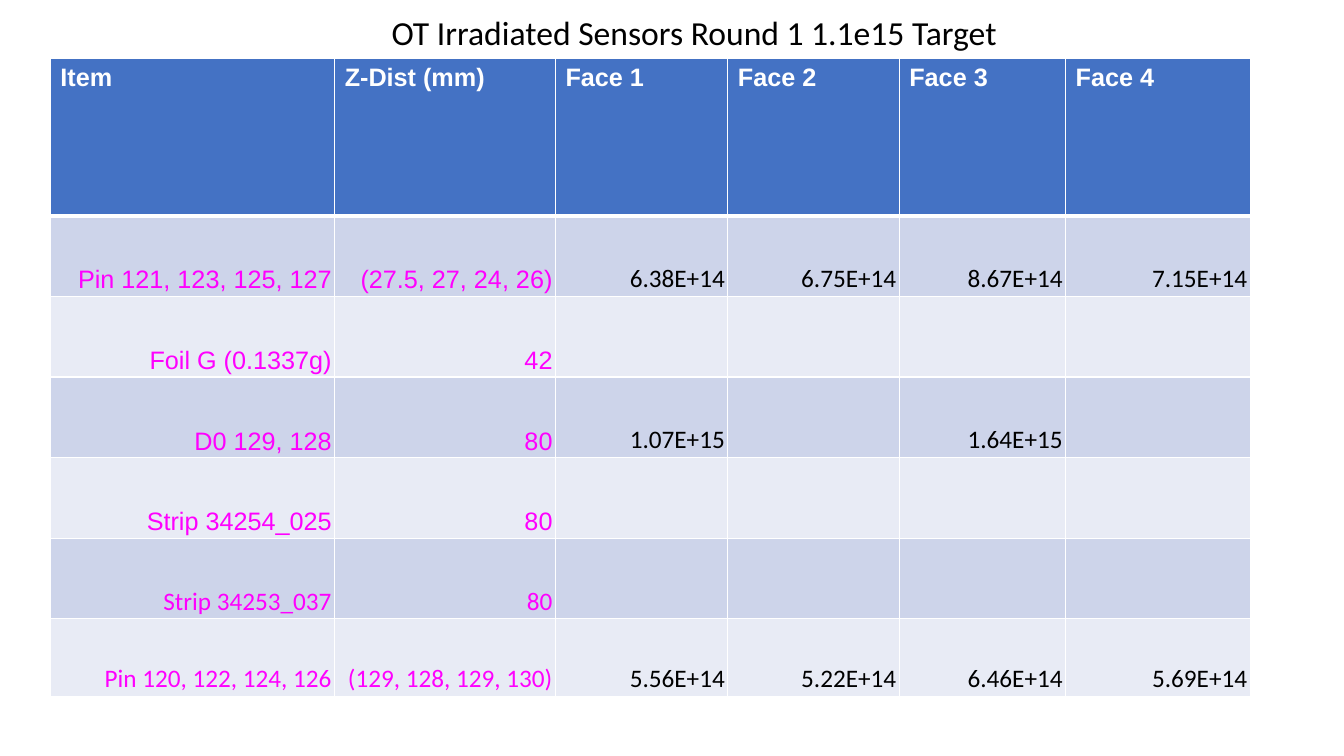
from dataclasses import dataclass

import lxml.etree
import pptx
import pptx.dml.color
import pptx.enum.text
import pptx.oxml.ns
import pptx.util

Inches = pptx.util.Inches
Align = pptx.enum.text.PP_ALIGN
Anchor = pptx.enum.text.MSO_ANCHOR


@dataclass(frozen=True)
class Theme:
    """Colours, fonts, type sizes and line widths of the slide."""
    header: str = "4472C4"
    bands: tuple[str, str] = ("CDD4EA", "E8EBF5")
    white: str = "FFFFFF"
    black: str = "000000"
    magenta: str = "FF00FF"
    label_font: str = "Arial"
    value_font: str = "Calibri"
    title_size: int = 24
    table_size: int = 18
    thin_line: int = 1
    thick_line: int = 3


@dataclass(frozen=True)
class Irradiated:
    """One irradiated item: its distance and the fluence on each face."""
    item: str
    distance: str
    faces: tuple[str, str, str, str] = ("", "", "", "")
    label_font: str = "Arial"


THEME = Theme()
HEADINGS = ("Item", "Z-Dist (mm)", "Face 1", "Face 2", "Face 3", "Face 4")
COLUMN_WIDTHS = (2.82, 2.19, 1.71, 1.7, 1.65, 1.83)
ROW_HEIGHTS = (1.56, 0.8, 0.8, 0.8, 0.8, 0.8, 0.77)
SENSORS = (
    Irradiated("Pin 121, 123, 125, 127", "(27.5, 27, 24, 26)",
               ("6.38E+14", "6.75E+14", "8.67E+14", "7.15E+14")),
    Irradiated("Foil G (0.1337g)", "42"),
    Irradiated("D0 129, 128", "80", ("1.07E+15", "", "1.64E+15", "")),
    Irradiated("Strip 34254_025", "80"),
    Irradiated("Strip 34253_037", "80", label_font=THEME.value_font),
    Irradiated("Pin 120, 122, 124, 126", "(129, 128, 129, 130)",
               ("5.56E+14", "5.22E+14", "6.46E+14", "5.69E+14"),
               label_font=THEME.value_font),
)


def rgb(code: str) -> pptx.dml.color.RGBColor:
    """Turn a hex code into a colour."""
    return pptx.dml.color.RGBColor.from_string(code)


def write(frame, text: str, *, size: int, font: str, color: str,
          bold: bool = False, align=Align.LEFT) -> None:
    """Write one formatted line of text into a text frame."""
    line = frame.paragraphs[0]
    line.alignment = align
    line.font.size = pptx.util.Pt(size)
    if text:
        run = line.add_run()
        run.text = text
        run.font.size = pptx.util.Pt(size)
        run.font.name = font
        run.font.bold = bold
        run.font.color.rgb = rgb(color)


def style_cell(cell, fill: str, *, top: int, bottom: int,
               margins: tuple[float, float], anchor) -> None:
    """Set the borders, fill, margins and anchor of a cell."""
    properties = cell._tc.get_or_add_tcPr()
    qn = pptx.oxml.ns.qn
    widths = {"L": THEME.thin_line, "R": THEME.thin_line, "T": top, "B": bottom}
    for side, width in widths.items():
        border = lxml.etree.SubElement(
            properties, qn(f"a:ln{side}"), w=str(pptx.util.Pt(width)))
        solid = lxml.etree.SubElement(border, qn("a:solidFill"))
        lxml.etree.SubElement(solid, qn("a:srgbClr"), val=THEME.white)
    cell.fill.solid()
    cell.fill.fore_color.rgb = rgb(fill)
    cell.margin_left = cell.margin_right = Inches(margins[0])
    cell.margin_top = cell.margin_bottom = Inches(margins[1])
    cell.vertical_anchor = anchor


def draw_header(table) -> None:
    """Fill the heading row."""
    for column, heading in enumerate(HEADINGS):
        cell = table.cell(0, column)
        style_cell(cell, THEME.header, top=THEME.thin_line,
                   bottom=THEME.thick_line, margins=(0.1, 0.05), anchor=Anchor.TOP)
        write(cell.text_frame, heading, size=THEME.table_size,
              font=THEME.label_font, color=THEME.white, bold=True)


def draw_sensor(table, row: int, sensor: Irradiated) -> None:
    """Fill one banded row with a sensor's labels and fluences."""
    top = THEME.thick_line if row == 1 else THEME.thin_line
    for column, text in enumerate((sensor.item, sensor.distance, *sensor.faces)):
        is_label = column < 2
        cell = table.cell(row, column)
        style_cell(cell, THEME.bands[(row - 1) % 2], top=top,
                   bottom=THEME.thin_line, margins=(0.03, 0.02), anchor=Anchor.BOTTOM)
        write(cell.text_frame, text, size=THEME.table_size,
              font=sensor.label_font if is_label else THEME.value_font,
              color=THEME.magenta if is_label else THEME.black, align=Align.RIGHT)


def draw_table(slide) -> None:
    """Add the table of irradiated sensors."""
    table = slide.shapes.add_table(
        len(ROW_HEIGHTS), len(COLUMN_WIDTHS), Inches(0.5), Inches(0.58),
        Inches(sum(COLUMN_WIDTHS)), Inches(sum(ROW_HEIGHTS))).table
    for column, width in zip(table.columns, COLUMN_WIDTHS):
        column.width = Inches(width)
    for row, height in zip(table.rows, ROW_HEIGHTS):
        row.height = Inches(height)
    draw_header(table)
    for row, sensor in enumerate(SENSORS, start=1):
        draw_sensor(table, row, sensor)


def draw_title(slide) -> None:
    """Add the centred title above the table."""
    title = slide.shapes.add_textbox(
        Inches(1.49), Inches(0.07), Inches(10.79), Inches(0.5)).text_frame
    title.word_wrap = True
    title.auto_size = pptx.enum.text.MSO_AUTO_SIZE.SHAPE_TO_FIT_TEXT
    write(title, "OT Irradiated Sensors Round 1 1.1e15 Target",
          size=THEME.title_size, font=THEME.value_font, color=THEME.black,
          align=Align.CENTER)


def main() -> None:
    """Build and save the slide."""
    deck = pptx.Presentation()
    deck.slide_width = Inches(13.33)
    deck.slide_height = Inches(7.5)
    slide = deck.slides.add_slide(deck.slide_layouts[6])
    draw_table(slide)
    draw_title(slide)
    deck.save("out.pptx")


main()
